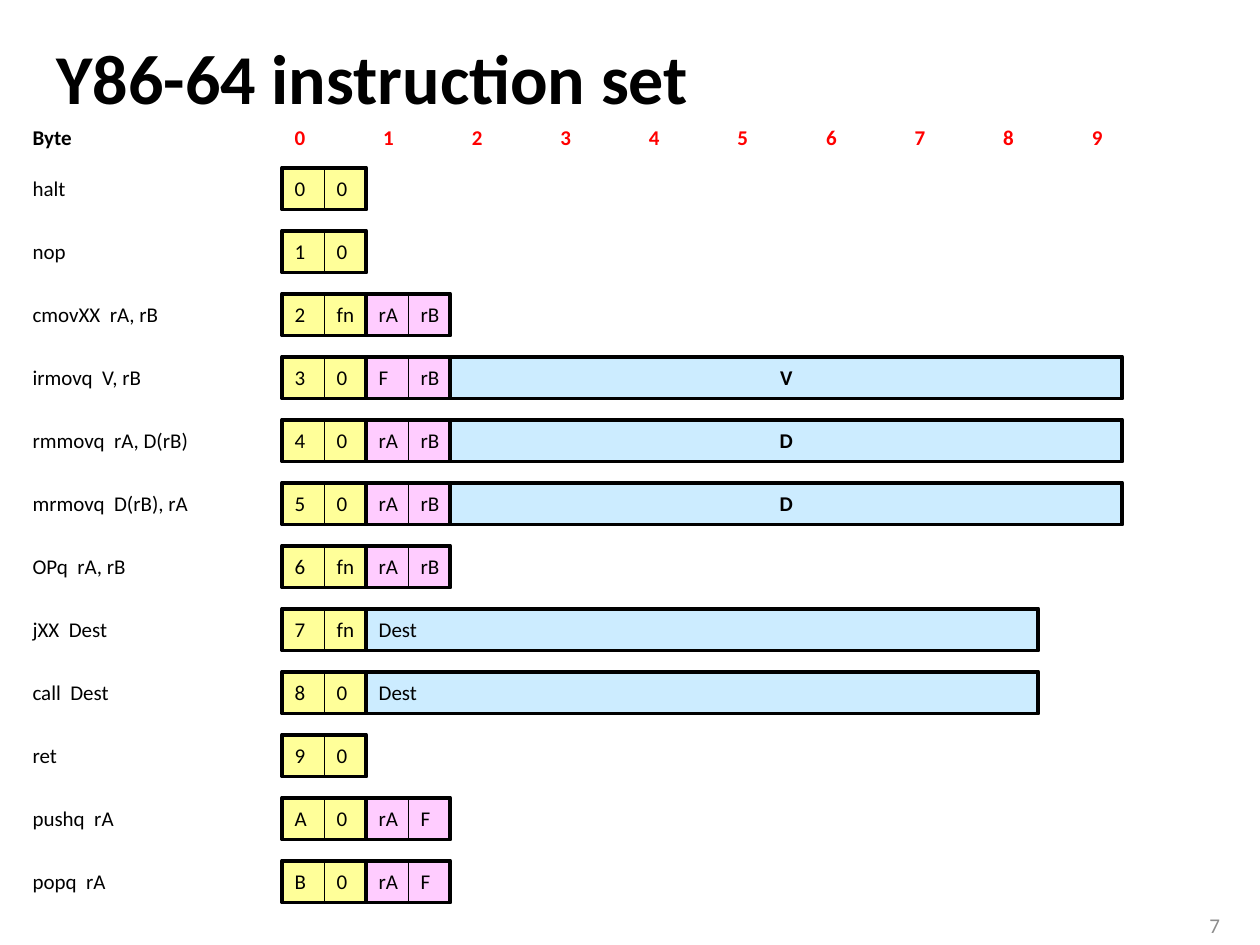
from dataclasses import dataclass

from pptx import Presentation
from pptx.dml.color import RGBColor
from pptx.enum.shapes import MSO_SHAPE
from pptx.enum.text import MSO_ANCHOR, PP_ALIGN
from pptx.util import Inches, Pt

BLACK, RED, GREY, WHITE = "000000", "FF0000", "8C8C8C", "FFFFFF"
YELLOW, PINK, BLUE = "FFFF99", "FFCCFF", "CCECFF"
THIN, THICK = 0.5, 2.25

LABEL_X, LABEL_W = 0.16, 2.08
CODE_X = LABEL_X + LABEL_W
NIBBLE = 1 / 3
BYTE = 2 * NIBBLE
CONST_W = 8 * BYTE
HEADER_Y, HEADER_STEP = 0.92, 0.7
FIRST_Y, ROW_STEP = 1.33, 0.5


@dataclass(frozen=True)
class Instruction:
    name: str
    code: str
    regs: tuple[str, ...] = ()
    const: str = ""
    fn: str = "0"


@dataclass(frozen=True)
class Style:
    size: float = 12
    bold: bool = False
    color: str = BLACK
    align: PP_ALIGN = PP_ALIGN.LEFT
    wrap: bool = False
    spacing: float = 1.0


PLAIN = Style()
BOLD = Style(bold=True)
CENTRED = Style(bold=True, align=PP_ALIGN.CENTER)
BYTE_NUMBER = Style(bold=True, color=RED)
TITLE = Style(size=40, bold=True, wrap=True, spacing=0.9)
PAGE_NUMBER = Style(color=GREY, align=PP_ALIGN.RIGHT, wrap=True)

INSTRUCTIONS = [
    Instruction("halt", "0"),
    Instruction("nop", "1"),
    Instruction("cmovXX  rA, rB", "2", ("rA", "rB"), fn="fn"),
    Instruction("irmovq  V, rB", "3", ("F", "rB"), "V"),
    Instruction("rmmovq  rA, D(rB)", "4", ("rA", "rB"), "D"),
    Instruction("mrmovq  D(rB), rA", "5", ("rA", "rB"), "D"),
    Instruction("OPq  rA, rB", "6", ("rA", "rB"), fn="fn"),
    Instruction("jXX  Dest", "7", const="Dest", fn="fn"),
    Instruction("call  Dest", "8", const="Dest"),
    Instruction("ret", "9"),
    Instruction("pushq  rA", "A", ("rA", "F")),
    Instruction("popq  rA", "B", ("rA", "F")),
]


def rgb(color: str) -> RGBColor:
    return RGBColor.from_string(color)


def write(sp, text: str, style: Style) -> None:
    tf = sp.text_frame
    tf.word_wrap = style.wrap
    tf.vertical_anchor = MSO_ANCHOR.MIDDLE
    p = tf.paragraphs[0]
    p.alignment = style.align
    p.line_spacing = style.spacing
    r = p.add_run()
    r.text = text
    for name, value in {"name": "Calibri", "size": Pt(style.size), "bold": style.bold}.items():
        setattr(r.font, name, value)
    r.font.color.rgb = rgb(style.color)


def add_text(s, x: float, y: float, w: float, h: float, text: str, style: Style) -> None:
    write(s.shapes.add_textbox(Inches(x), Inches(y), Inches(w), Inches(h)), text, style)


def add_box(s, x: float, y: float, w: float, fill: str = "", line: float = 0,
            text: str = "", style: Style = PLAIN) -> None:
    """Draw a rectangle one row high; an empty fill or zero line means none."""
    sp = s.shapes.add_shape(MSO_SHAPE.RECTANGLE, Inches(x), Inches(y), Inches(w), Inches(NIBBLE))
    sp.shadow.inherit = False
    if fill:
        sp.fill.solid()
        sp.fill.fore_color.rgb = rgb(fill)
    else:
        sp.fill.background()
    if line:
        sp.line.color.rgb = rgb(BLACK)
        sp.line.width = Pt(line)
    else:
        sp.line.fill.background()
    if text:
        write(sp, text, style)


def add_byte(s, x: float, y: float, nibbles: tuple[str, ...], fill: str) -> None:
    for i, nibble in enumerate(nibbles):
        add_box(s, x + i * NIBBLE, y, NIBBLE, fill, THIN, nibble)
    add_box(s, x, y, BYTE, line=THICK)


def add_instruction(s, y: float, ins: Instruction) -> None:
    add_box(s, LABEL_X, y, LABEL_W, WHITE, text=ins.name)
    const_x = CODE_X + (2 if ins.regs else 1) * BYTE
    if ins.const:
        style = CENTRED if ins.regs else PLAIN
        add_box(s, const_x, y, CONST_W, BLUE, THICK, ins.const, style)
    add_byte(s, CODE_X, y, (ins.code, ins.fn), YELLOW)
    if ins.regs:
        add_byte(s, CODE_X + BYTE, y, ins.regs, PINK)


def main() -> None:
    prs = Presentation()
    prs.slide_width, prs.slide_height = Inches(10), Inches(7.5)
    s = prs.slides.add_slide(prs.slide_layouts[6])
    add_text(s, 0.35, 0.19, 9.29, 0.92, "Y86-64 instruction set", TITLE)
    add_text(s, 9.27, 7.19, 0.51, 0.31, "7", PAGE_NUMBER)
    add_box(s, LABEL_X, HEADER_Y, LABEL_W, WHITE, text="Byte", style=BOLD)
    for i in range(10):
        x = CODE_X + i * (HEADER_STEP + 0.003)
        add_text(s, x, HEADER_Y, HEADER_STEP, NIBBLE, str(i), BYTE_NUMBER)
    for i, ins in enumerate(INSTRUCTIONS):
        add_instruction(s, FIRST_Y + i * ROW_STEP, ins)
    prs.save("out.pptx")


if __name__ == "__main__":
    main()
